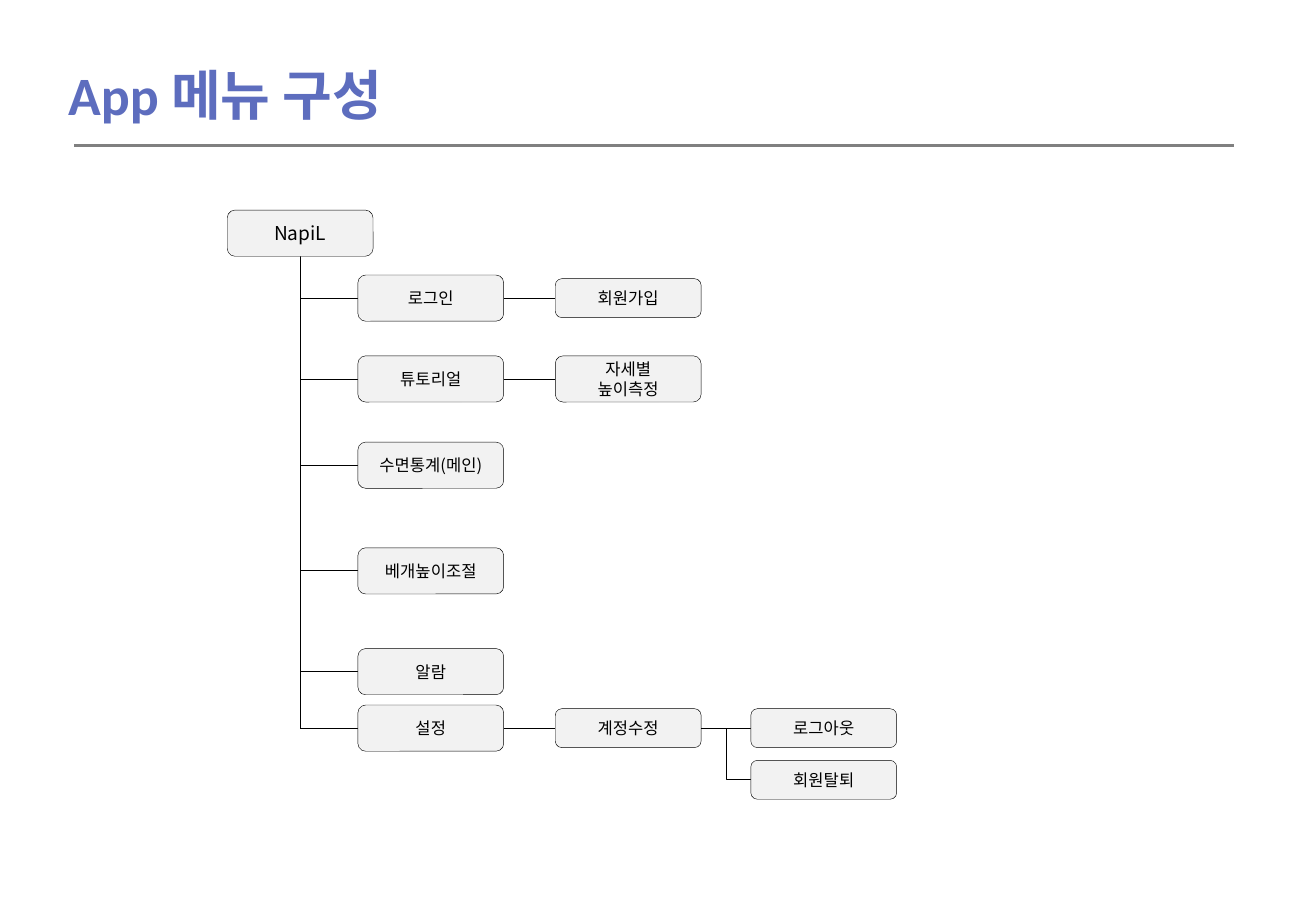
"""Build the app menu structure slide as a tree of rounded boxes."""
import pptx
import pptx.dml.color
import pptx.enum.shapes
import pptx.enum.text
import pptx.oxml.ns
import pptx.util
from lxml import etree

COLORS = {"title": "5D6DBE", "rule": "808080", "box": "F2F2F2", "ink": "000000"}
KOREAN = "Noto Sans CJK KR"
LINK = pptx.enum.shapes.MSO_CONNECTOR

prs = pptx.Presentation()
prs.slide_width = pptx.util.Inches(10.83)
prs.slide_height = pptx.util.Inches(7.5)
W, H = prs.slide_width / 100, prs.slide_height / 100
s = prs.slides.add_slide(prs.slide_layouts[5])


def add_run(p, text, size, font, color):
    r = p.add_run()
    r.text = text
    r.font.size = pptx.util.Pt(size)
    r.font.name = font
    r.font.color.rgb = pptx.dml.color.RGBColor.from_string(COLORS[color])
    ea = etree.SubElement(r.font._element, pptx.oxml.ns.qn("a:ea"))
    ea.set("typeface", KOREAN)
    return r


def add_line(x1, y1, x2, y2, kind=LINK.STRAIGHT, color="ink", width=0.5):
    ends = [round(v) for v in (x1 * W, y1 * H, x2 * W, y2 * H)]
    c = s.shapes.add_connector(kind, *ends)
    c.line.color.rgb = pptx.dml.color.RGBColor.from_string(COLORS[color])
    c.line.width = pptx.util.Pt(width)
    etree.SubElement(c._element.spPr, pptx.oxml.ns.qn("a:effectLst"))


title = s.shapes.title
title.left, title.top = round(4.25 * W), round(6 * H)
title.width, title.height = round(27.05 * W), round(8.53 * H)
tf = title.text_frame
tf.word_wrap = False
tf.vertical_anchor = pptx.enum.text.MSO_ANCHOR.MIDDLE
p = tf.paragraphs[0]
p.alignment = pptx.enum.text.PP_ALIGN.LEFT
r = add_run(p, "App 메뉴 구성", 32, "Calibri", "title")
r.font.bold = True
add_line(5.63, 16, 93.8, 16, color="rule", width=1.5)

COLUMNS = [17.27, 27.2, 42.2, 57.06]
BOX_W, TALL, LOW = 11.08, 5.07, 4.27
TRUNK = COLUMNS[0] + BOX_W / 2
ROWS = {"root": 25.6, "login": 32.73, "tutorial": 41.6, "sleep": 51.07,
        "pillow": 62.67, "alarm": 73.73, "settings": 79.93, "leave": 85.6}
menu = [
    (0, "root", TALL, ["NapiL"]),
    (1, "login", TALL, ["로그인"]),
    (1, "tutorial", TALL, ["튜토리얼"]),
    (1, "sleep", TALL, ["수면통계(메인)"]),
    (1, "pillow", TALL, ["베개높이조절"]),
    (1, "alarm", TALL, ["알람"]),
    (1, "settings", TALL, ["설정"]),
    (2, "login", LOW, ["회원가입"]),
    (2, "tutorial", TALL, ["자세별", "높이측정"]),
    (2, "settings", LOW, ["계정수정"]),
    (3, "settings", LOW, ["로그아웃"]),
    (3, "leave", LOW, ["회원탈퇴"]),
]

add_line(TRUNK, ROWS["root"] + TALL / 2, TRUNK, ROWS["settings"])
for level, row, height, lines in menu:
    x, y = COLUMNS[level], ROWS[row]
    if row == "leave":
        add_line(COLUMNS[2] + BOX_W, ROWS["settings"], x, y, LINK.ELBOW)
    elif level:
        start = TRUNK if level == 1 else COLUMNS[level - 1] + BOX_W
        add_line(start, y, x, y)

    sp = s.shapes.add_shape(
        pptx.enum.shapes.MSO_SHAPE.ROUNDED_RECTANGLE,
        round(x * W), round((y - height / 2) * H), round(BOX_W * W), round(height * H))
    sp.shadow.inherit = False
    sp.fill.solid()
    sp.fill.fore_color.rgb = pptx.dml.color.RGBColor.from_string(COLORS["box"])
    sp.line.color.rgb = pptx.dml.color.RGBColor.from_string(COLORS["ink"])
    sp.line.width = pptx.util.Pt(0.25)
    tf = sp.text_frame
    tf.word_wrap = True
    tf.margin_left = tf.margin_right = tf.margin_top = tf.margin_bottom = 0
    tf.vertical_anchor = pptx.enum.text.MSO_ANCHOR.MIDDLE
    for i, text in enumerate(lines):
        p = tf.add_paragraph() if i else tf.paragraphs[0]
        p.alignment = pptx.enum.text.PP_ALIGN.CENTER
        add_run(p, text, 9.8 if level else 11.3, KOREAN, "ink")

prs.save("out.pptx")
